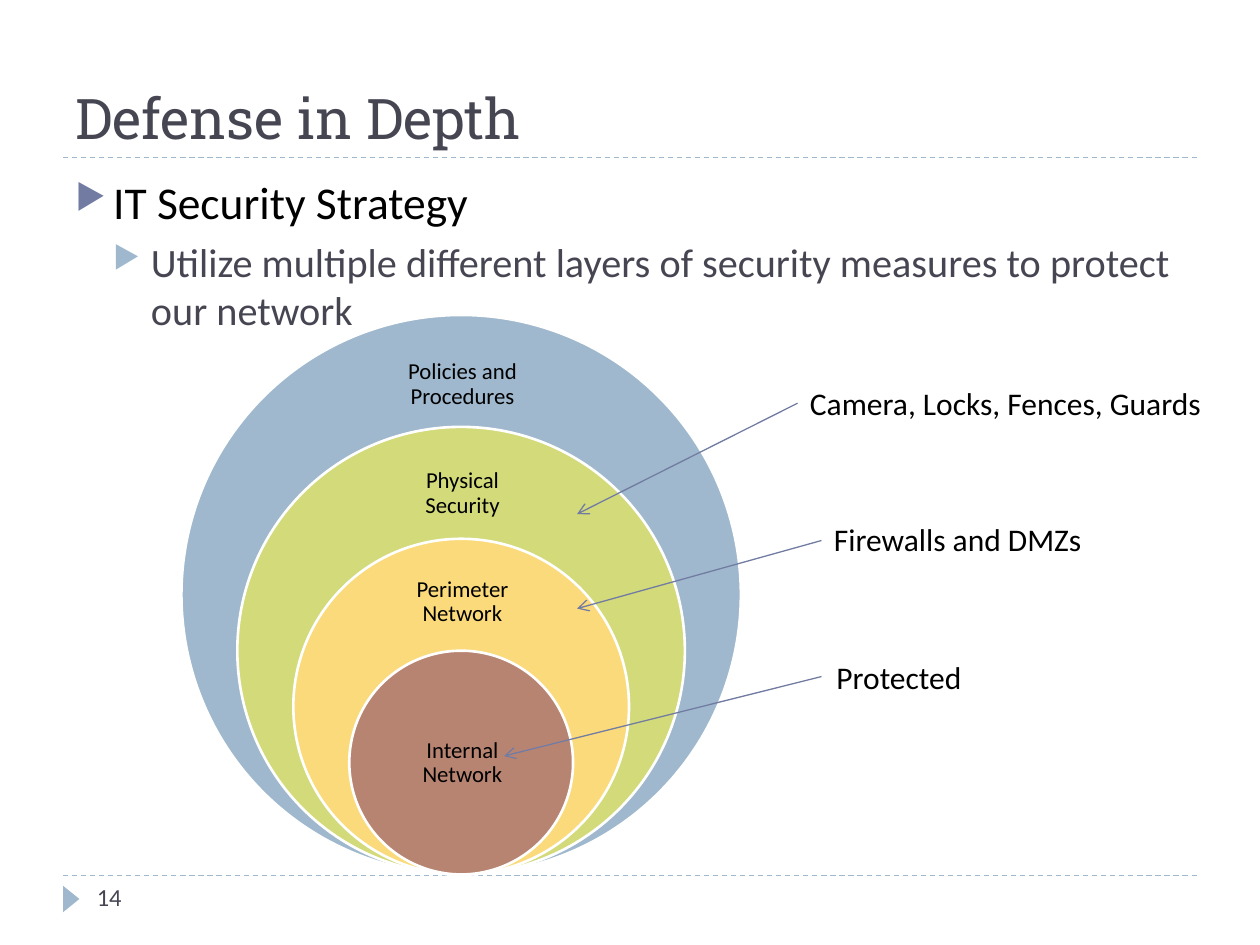
"""Build the Defense in Depth slide with nested security layers."""
from lxml import etree
from pptx import Presentation
from pptx.dml.color import RGBColor
from pptx.enum.dml import MSO_LINE
from pptx.enum.shapes import MSO_CONNECTOR, MSO_SHAPE
from pptx.enum.text import MSO_ANCHOR, MSO_AUTO_SIZE, PP_ALIGN
from pptx.oxml.ns import qn
from pptx.util import Pt

PX = 9144
STRAIGHT = MSO_CONNECTOR.STRAIGHT
OVAL, TRIANGLE = MSO_SHAPE.OVAL, MSO_SHAPE.ISOSCELES_TRIANGLE
TOP, MIDDLE, BOTTOM = MSO_ANCHOR.TOP, MSO_ANCHOR.MIDDLE, MSO_ANCHOR.BOTTOM
LEFT, CENTER = PP_ALIGN.LEFT, PP_ALIGN.CENTER
DASH, GROW = MSO_LINE.DASH, MSO_AUTO_SIZE.SHAPE_TO_FIT_TEXT

COLORS = {"ink": "464653", "black": "000000", "white": "FFFFFF", "violet": "727CA3",
          "blue": "9FB8CD", "green": "D2DA7A", "yellow": "FADA7A", "brown": "B88472"}
BODY_FONT, TITLE_FONT = "Calibri", "Roboto Slab"

TITLE = "Defense in Depth"
PAGE = "14"
BULLETS = [
    ("IT Security Strategy", 26, "black", "violet", 0),
    ("Utilize multiple different layers of security measures to protect our network",
     23, "ink", "blue", 5),
]
LAYERS = [
    ("Policies and Procedures", "blue", (305, 272, 124, 67)),
    ("Physical Security", "green", (305, 360, 124, 64)),
    ("Perimeter Network", "yellow", (305, 448, 124, 60)),
    ("Internal Network", "brown", (304, 561, 126, 89)),
]
CALLOUTS = [
    ("Camera, Locks, Fences, Guards", (633, 300, 334, 40), (633, 320, 458, 408)),
    ("Firewalls and DMZs", (652, 408, 223, 40), (652, 429, 458, 483)),
    ("Protected", (654, 517, 121, 40), (652, 537, 400, 600)),
]
RULES = [125, 695]
CENTER_X, BASE_Y, OUTER = 366, 694, 444
INDENT = 30


def emu(values):
    return [round(v * PX) for v in values]


def rgb(name):
    return RGBColor.from_string(COLORS[name])


def style(p, size, color, font=BODY_FONT):
    for r in p.runs:
        r.font.size, r.font.name = Pt(size), font
        r.font.color.rgb = rgb(color)


def add_text(s, text, box, size, color="black", wrap=True):
    sp = s.shapes.add_textbox(*emu(box))
    tf = sp.text_frame
    tf.word_wrap = wrap
    tf.text = text
    style(tf.paragraphs[0], size, color)
    return tf


def add_line(s, ends, color):
    line = s.shapes.add_connector(STRAIGHT, *emu(ends))
    line.line.color.rgb, line.line.width = rgb(color), Pt(0.75)
    etree.SubElement(line._element.spPr, qn("a:effectLst"))
    return line


def add_filled(s, kind, box, color):
    sp = s.shapes.add_shape(kind, *emu(box))
    sp.shadow.inherit = False
    sp.fill.solid()
    sp.fill.fore_color.rgb = rgb(color)
    return sp


def add_frame(s):
    for y in RULES:
        add_line(s, (50, y, 950, y), "blue").line.dash_style = DASH
    marker = add_filled(s, TRIANGLE, (46, 707, 21, 13), "blue")
    marker.rotation = 90
    marker.line.fill.background()
    add_text(s, PAGE, (67, 695, 217, 40), 14, "ink")


def add_title(s):
    sp = s.shapes.title
    sp.left, sp.top, sp.width, sp.height = emu((50, 17, 900, 108))
    tf = sp.text_frame
    tf.text = TITLE
    tf.vertical_anchor = BOTTOM
    p = tf.paragraphs[0]
    p.alignment = LEFT
    style(p, 32, "ink", TITLE_FONT)


def add_bullets(s):
    sp = s.shapes.add_textbox(*emu((50, 133, 900, 540)))
    tf = sp.text_frame
    tf.word_wrap = True
    tf.text = "\n".join(item[0] for item in BULLETS)
    for level, (p, item) in enumerate(zip(tf.paragraphs, BULLETS)):
        _, size, color, bullet, before = item
        p.level = level
        pPr = p._p.get_or_add_pPr()
        pPr.set("marL", str(INDENT * (level + 1) * PX))
        pPr.set("indent", str(-INDENT * PX))
        clr = etree.SubElement(pPr, qn("a:buClr"))
        etree.SubElement(clr, qn("a:srgbClr"), val=COLORS[bullet])
        etree.SubElement(pPr, qn("a:buSzPct"), val="76000")
        etree.SubElement(pPr, qn("a:buChar"), char="▶")
        p.space_before = Pt(before)
        style(p, size, color)


def add_layers(s):
    for i, (text, color, box) in enumerate(LAYERS):
        d = OUTER * (1 - i / (len(LAYERS) + 1))
        sp = add_filled(s, OVAL, (CENTER_X - d / 2, BASE_Y - d, d, d), color)
        sp.line.color.rgb, sp.line.width = rgb("white"), Pt(1.5)
        tf = add_text(s, text, box, 13)
        tf.vertical_anchor = MIDDLE
        tf.margin_left = tf.margin_right = tf.margin_top = tf.margin_bottom = 10 * PX
        p = tf.paragraphs[0]
        p.alignment, p.line_spacing = CENTER, 0.9


def add_callouts(s):
    for text, box, ends in CALLOUTS:
        tf = add_text(s, text, box, 18, wrap=False)
        tf.auto_size, tf.vertical_anchor = GROW, TOP
        ln = add_line(s, ends, "violet").line._get_or_add_ln()
        etree.SubElement(ln, qn("a:tailEnd"), type="arrow")


def main():
    prs = Presentation()
    prs.slide_width, prs.slide_height = emu((1000, 750))
    s = prs.slides.add_slide(prs.slide_layouts[5])
    add_frame(s)
    add_title(s)
    add_bullets(s)
    add_layers(s)
    add_callouts(s)
    prs.save("out.pptx")


if __name__ == "__main__":
    main()
